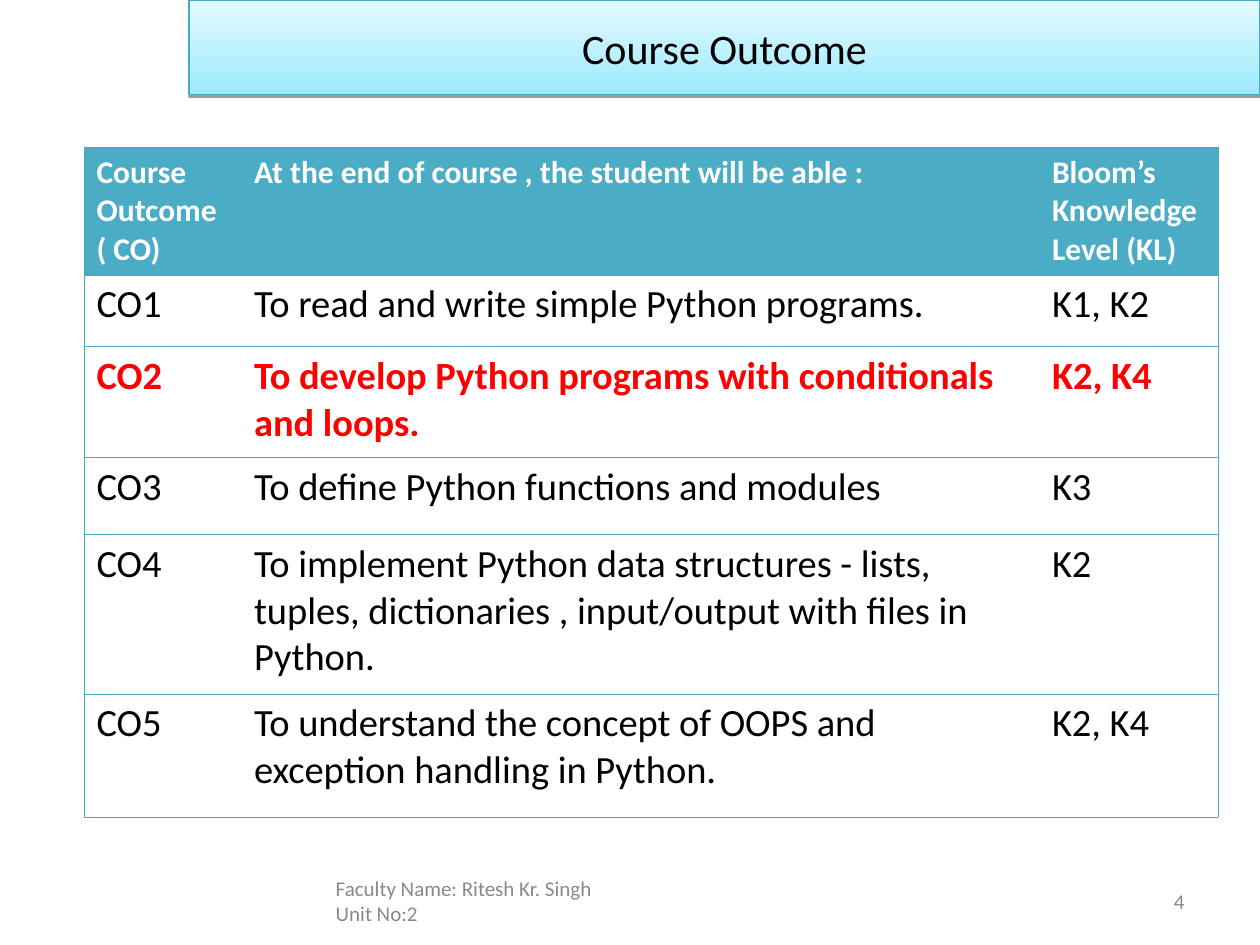
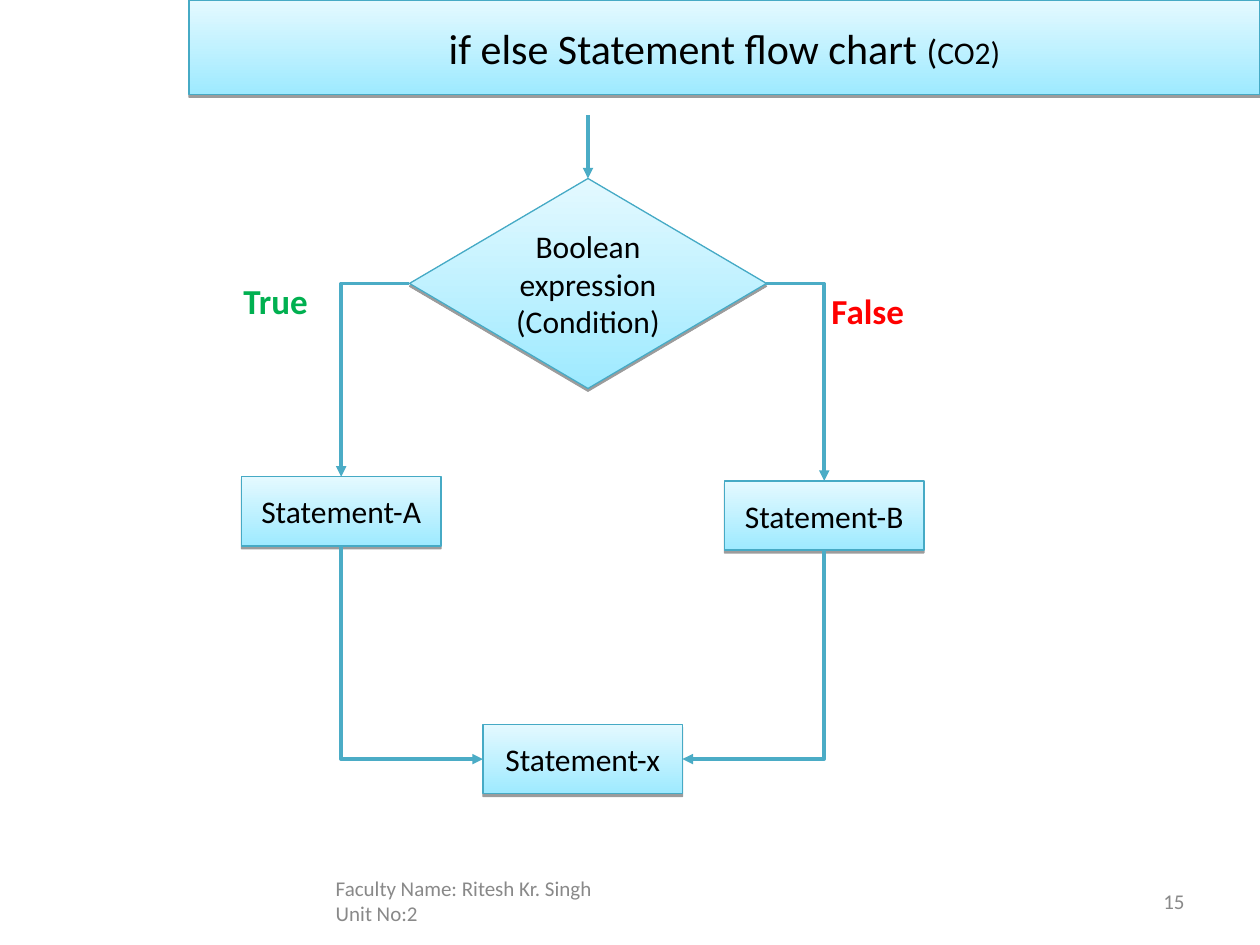
import pptx
import pptx.chart.data
import pptx.dml.color
import pptx.enum.dml
import pptx.enum.shapes
import pptx.enum.text
import pptx.oxml
import pptx.oxml.ns
import pptx.util
from lxml import etree

RGB = pptx.dml.color.RGBColor
SHAPE = pptx.enum.shapes.MSO_SHAPE
ALIGN = pptx.enum.text.PP_ALIGN
ANCHOR = pptx.enum.text.MSO_ANCHOR
qn = pptx.oxml.ns.qn

# Shared look
FONT = "Calibri"
BLACK = RGB(0x00, 0x00, 0x00)
WHITE = RGB(0xFF, 0xFF, 0xFF)
GREY = RGB(0x89, 0x89, 0x89)
RED = RGB(0xFF, 0x00, 0x00)
GREEN = RGB(0x00, 0xB0, 0x50)
TEAL = RGB(0x4B, 0xAC, 0xC6)
EDGE = RGB(0x46, 0xAA, 0xC5)
PALE = RGB(0xE4, 0xF9, 0xFF)
AQUA = RGB(0x9E, 0xEA, 0xFF)

# Grid: 120 columns by 90 rows, so one step is a twelfth of an inch
STEP = pptx.util.Inches(1 / 12)

deck = pptx.Presentation()
deck.slide_width = 120 * STEP
deck.slide_height = 90 * STEP


def write(frame, lines, align=ALIGN.LEFT, anchor=ANCHOR.TOP, wrap=True):
    """Fill a frame; each line is a list of (text, size, colour, bold) runs."""
    frame.word_wrap = wrap
    frame.vertical_anchor = anchor
    for number, runs in enumerate(lines):
        para = frame.add_paragraph() if number else frame.paragraphs[0]
        para.alignment = align
        for text, size, colour, bold in runs:
            span = para.add_run()
            span.text = text
            span.font.name = FONT
            span.font.size = pptx.util.Pt(size)
            span.font.color.rgb = colour
            span.font.bold = bold


def add_panel(page, kind, grid, lines):
    """Add a gradient shape with a thin edge, a soft drop shadow and centred text."""
    panel = page.shapes.add_shape(kind, *[int(n * STEP) for n in grid])
    panel.fill.gradient()
    panel.fill.gradient_angle = 90
    for stop, colour in zip(panel.fill.gradient_stops, (AQUA, PALE)):
        stop.color.rgb = colour
    panel.line.color.rgb = EDGE
    panel.line.width = pptx.util.Pt(0.75)
    panel.shadow.inherit = False
    effects = panel._element.spPr.find(qn("a:effectLst"))
    shadow = etree.SubElement(effects, qn("a:outerShdw"), dist="20000", dir="5400000", rotWithShape="0")
    tint = etree.SubElement(shadow, qn("a:srgbClr"), val=str(BLACK))
    etree.SubElement(tint, qn("a:alpha"), val="38000")
    write(panel.text_frame, lines, ALIGN.CENTER, ANCHOR.MIDDLE)
    return panel


# Title band and footer of both slides
titles = [
    ("4", [("Course Outcome", 24, BLACK, False)]),
    ("15", [("if else Statement flow chart ", 24, BLACK, False),
            ("(", 20, BLACK, False), ("CO2)", 18, BLACK, False)]),
]
pages = []
for page_number, title in titles:
    page = deck.slides.add_slide(deck.slide_layouts[6])
    pages.append(page)
    footers = [(30.8, 60, "Faculty Name: Ritesh Kr. Singh\tUnit No:2", ALIGN.LEFT),
               (86, 28, page_number, ALIGN.RIGHT)]
    for left, width, text, align in footers:
        box = page.shapes.add_textbox(*[int(n * STEP) for n in (left, 83.4, width, 4.8)])
        write(box.text_frame, [[(text, 12, GREY, False)]], align, ANCHOR.MIDDLE)
        if "\t" in text:
            props = box.text_frame.paragraphs[0]._p.get_or_add_pPr()
            stops = etree.SubElement(props, qn("a:tabLst"))
            etree.SubElement(stops, qn("a:tab"), pos=str(55 * STEP), algn="l")
    add_panel(page, SHAPE.RECTANGLE, (18, 0, 102, 9), [title])
outcome_page, flow_page = pages

# Course outcome table
outcomes = [
    ("Course Outcome ( CO)", "At the end of course , the student will be able :",
     "Bloom’s Knowledge Level (KL)"),
    ("CO1", "To read and write simple Python programs.", "K1, K2"),
    ("CO2", "To develop Python programs with conditionals and loops.", "K2, K4"),
    ("CO3", "To define Python functions and modules", "K3"),
    ("CO4", "To implement Python data structures - lists, tuples, dictionaries , "
            "input/output with files in Python.", "K2"),
    ("CO5", "To understand the concept of OOPS and exception handling in Python.", "K2, K4"),
]
column_widths = (15, 76, 17)
row_heights = (12.2, 6.8, 10.6, 7.3, 15.2, 11.7)
table = outcome_page.shapes.add_table(
    len(outcomes), len(column_widths), 8 * STEP, 14 * STEP,
    sum(column_widths) * STEP, int(sum(row_heights) * STEP)).table
table.horz_banding = False
for column, width in zip(table.columns, column_widths):
    column.width = width * STEP
for row, height in zip(table.rows, row_heights):
    row.height = int(height * STEP)

current_outcome = 2
last_column = len(column_widths) - 1
for r, outcome in enumerate(outcomes):
    if r == 0:
        style = (18, WHITE, True)
    elif r == current_outcome:
        style = (22, RED, True)
    else:
        style = (22, BLACK, False)
    for c, text in enumerate(outcome):
        cell = table.cell(r, c)
        write(cell.text_frame, [[(text, *style)]])
        # Rules between rows and around the table, none between columns
        props = cell._tc.get_or_add_tcPr()
        sides = {"L": c == 0, "R": c == last_column, "T": True, "B": True}
        for side, visible in sides.items():
            rule = etree.SubElement(props, qn("a:ln" + side), w=str(pptx.util.Pt(0.34)))
            if visible:
                solid = etree.SubElement(rule, qn("a:solidFill"))
                etree.SubElement(solid, qn("a:srgbClr"), val=str(EDGE))
            else:
                etree.SubElement(rule, qn("a:noFill"))
        if r == 0:
            cell.fill.solid()
            cell.fill.fore_color.rgb = TEAL
        else:
            cell.fill.background()

# Flow chart nodes
condition = add_panel(flow_page, SHAPE.FLOWCHART_DECISION, (39, 17, 34, 20),
                      [[("Boolean expression", 18, BLACK, False)], [("(Condition)", 18, BLACK, False)]])
statement_a, statement_b, statement_x = [
    add_panel(flow_page, SHAPE.RECTANGLE, (left, top, 19, 6.6), [[(name, 18, BLACK, False)]])
    for name, left, top in (("Statement-A", 23, 45.4), ("Statement-B", 69, 45.8), ("Statement-x", 46, 69))]

# Branch labels
for text, left, top, colour in (("False", 78, 27, RED), ("True", 22, 26, GREEN)):
    box = flow_page.shapes.add_textbox(left * STEP, top * STEP, 10 * STEP, int(5.3 * STEP))
    write(box.text_frame, [[(text, 20, colour, True)]], wrap=False)

# Arrows: elbows leave the first node sideways and meet the second vertically
TOP, LEFT, BOTTOM, RIGHT = range(4)
LINK = pptx.enum.shapes.MSO_CONNECTOR
entry = flow_page.shapes.add_connector(LINK.STRAIGHT, 56 * STEP, 11 * STEP, 56 * STEP, 17 * STEP)
arrows = [(entry, "a:tailEnd")]
elbows = [
    (condition, LEFT, statement_a, TOP, "a:tailEnd"),
    (condition, RIGHT, statement_b, TOP, "a:tailEnd"),
    (statement_x, LEFT, statement_a, BOTTOM, "a:headEnd"),
    (statement_x, RIGHT, statement_b, BOTTOM, "a:headEnd"),
]
for first, first_side, second, second_side, tip in elbows:
    elbow = flow_page.shapes.add_connector(LINK.ELBOW, 0, 0, 0, 0)
    elbow.begin_connect(first, first_side)
    elbow.end_connect(second, second_side)
    elbow._element.spPr.find(qn("a:prstGeom")).set("prst", "bentConnector2")
    arrows.append((elbow, tip))
for arrow, tip in arrows:
    arrow.line.color.rgb = TEAL
    arrow.line.width = pptx.util.Pt(2)
    etree.SubElement(arrow.line._get_or_add_ln(), qn(tip), type="triangle")
    etree.SubElement(arrow._element.spPr, qn("a:effectLst"))

deck.save("out.pptx")
